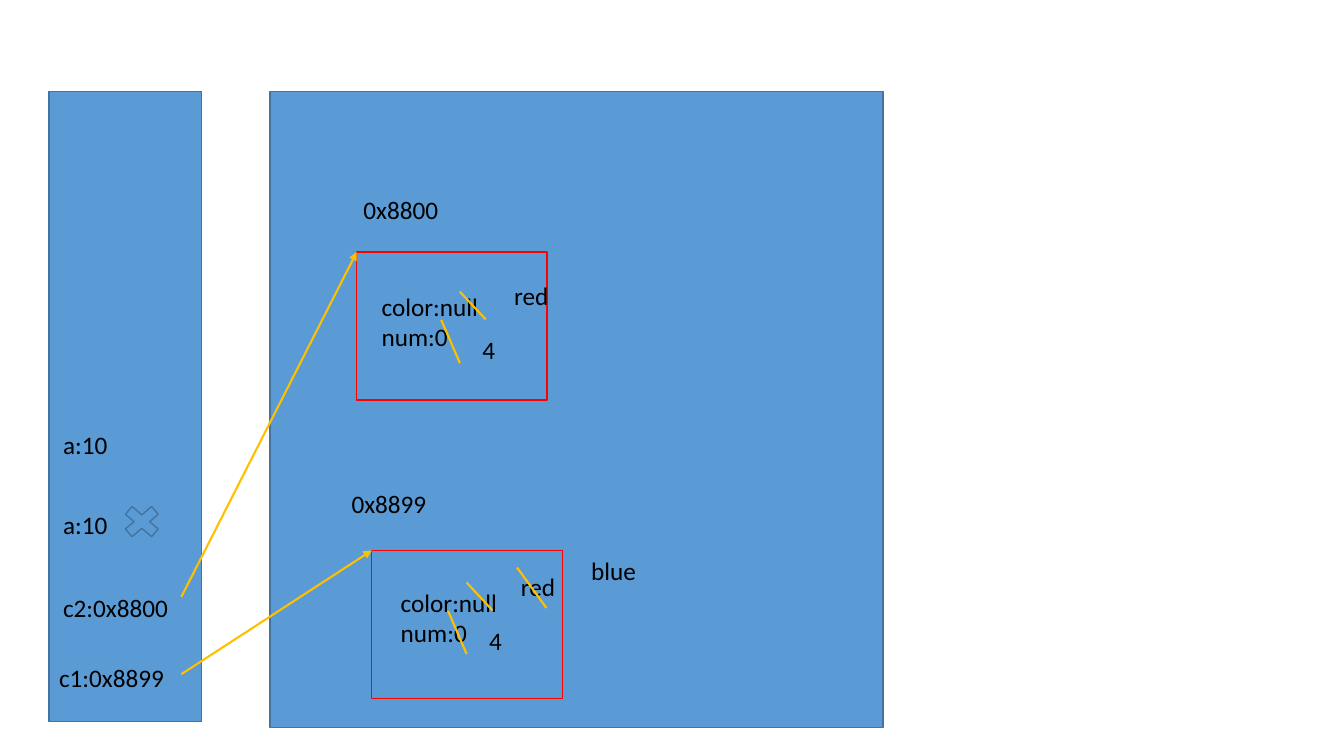
from pptx import Presentation
from pptx.dml.color import RGBColor
from pptx.enum.shapes import MSO_CONNECTOR, MSO_SHAPE
from pptx.util import Cm, Pt
from lxml import etree

RECT = MSO_SHAPE.RECTANGLE
CROSS = MSO_SHAPE.MATH_MULTIPLY
STRAIGHT = MSO_CONNECTOR.STRAIGHT
NS = "{http://schemas.openxmlformats.org/drawingml/2006/main}"
COLORS = {"blue": "5B9BD5", "edge": "43739E", "red": "FF0000",
          "gold": "FFC000", "text": "000000", "back": "FFFFFF"}


def rgb(name):
    return RGBColor.from_string(COLORS[name])


def add_block(s, kind, x, y, w, h, edge="edge"):
    sp = s.shapes.add_shape(kind, Cm(x), Cm(y), Cm(w), Cm(h))
    sp.shadow.inherit = False
    sp.fill.solid()
    sp.fill.fore_color.rgb = rgb("blue")
    sp.line.color.rgb = rgb(edge)
    sp.line.width = Pt(1)


def add_label(s, text, x, y, w, h=1.03):
    sp = s.shapes.add_textbox(Cm(x), Cm(y), Cm(w), Cm(h))
    tf = sp.text_frame
    tf.word_wrap = True
    tf.text = text
    for p in tf.paragraphs:
        for r in p.runs:
            r.font.name = "Calibri"
            r.font.size = Pt(18)
            r.font.color.rgb = rgb("text")


def add_stroke(s, x1, y1, x2, y2, arrow=False):
    sp = s.shapes.add_connector(STRAIGHT, Cm(x1), Cm(y1), Cm(x2), Cm(y2))
    sp.line.color.rgb = rgb("gold")
    sp.line.width = Pt(1.5)
    if arrow:
        etree.SubElement(sp.line._get_or_add_ln(), NS + "tailEnd", type="triangle")
    etree.SubElement(sp._element.spPr, NS + "effectLst")


def add_stack(s, x, y, w, h):
    add_block(s, RECT, x, y, w, h)
    for text, dx, dy in (("a:10", 0.1, 8.38), ("a:10", 0.1, 10.41),
                         ("c2:0x8800", 0.1, 12.5), ("c1:0x8899", 0, 14.25)):
        add_label(s, text, x + dx, y + dy, 4.34)
    add_block(s, CROSS, x + 1.7, y + 10.29, 1.27, 1.09)


def add_object(s, x, y, address, address_at, fields_at, edits_at):
    add_block(s, RECT, x, y, 4.8, 3.73, "red")
    add_label(s, address, x + address_at[0], y + address_at[1], 3.78)
    add_label(s, "color:null\nnum:0", x + fields_at[0], y + fields_at[1], 3.78, 1.8)
    ex, ey = x + edits_at[0], y + edits_at[1]
    add_stroke(s, ex, ey, ex + 0.65, ey + 0.7)
    add_label(s, "red", ex + 1.12, ey - 0.4, 1.8)
    add_stroke(s, ex - 0.47, ey + 0.71, ex, ey + 1.8)
    add_label(s, "4", ex + 0.32, ey + 0.94, 1.9)


def add_heap(s, x, y, w, h):
    add_block(s, RECT, x, y, w, h)
    add_object(s, x + 2.18, y + 4.04, "0x8800", (-0.08, -1.57), (0.38, 0.86), (2.6, 1))
    bx, by = x + 2.56, y + 11.56
    add_object(s, bx, by, "0x8899", (-0.76, -1.68), (0.48, 0.81), (2.39, 0.81))
    add_stroke(s, bx + 3.66, by + 0.43, bx + 4.4, by + 1.45)
    add_label(s, "blue", bx + 5.28, by, 2.26)


def add_references(s, x, targets):
    for y, end_x, end_y in targets:
        add_stroke(s, x, y, end_x, end_y, arrow=True)


prs = Presentation()
prs.slide_width, prs.slide_height = Cm(33.87), Cm(19.05)
s = prs.slides.add_slide(prs.slide_layouts[6])
s.background.fill.solid()
s.background.fill.fore_color.rgb = rgb("back")
add_stack(s, 1.24, 2.31, 3.84, 15.88)
add_heap(s, 6.81, 2.31, 15.44, 16.03)
add_references(s, 4.57, ((15.04, 8.99, 6.35), (16.99, 9.37, 13.87)))
prs.save("out.pptx")
